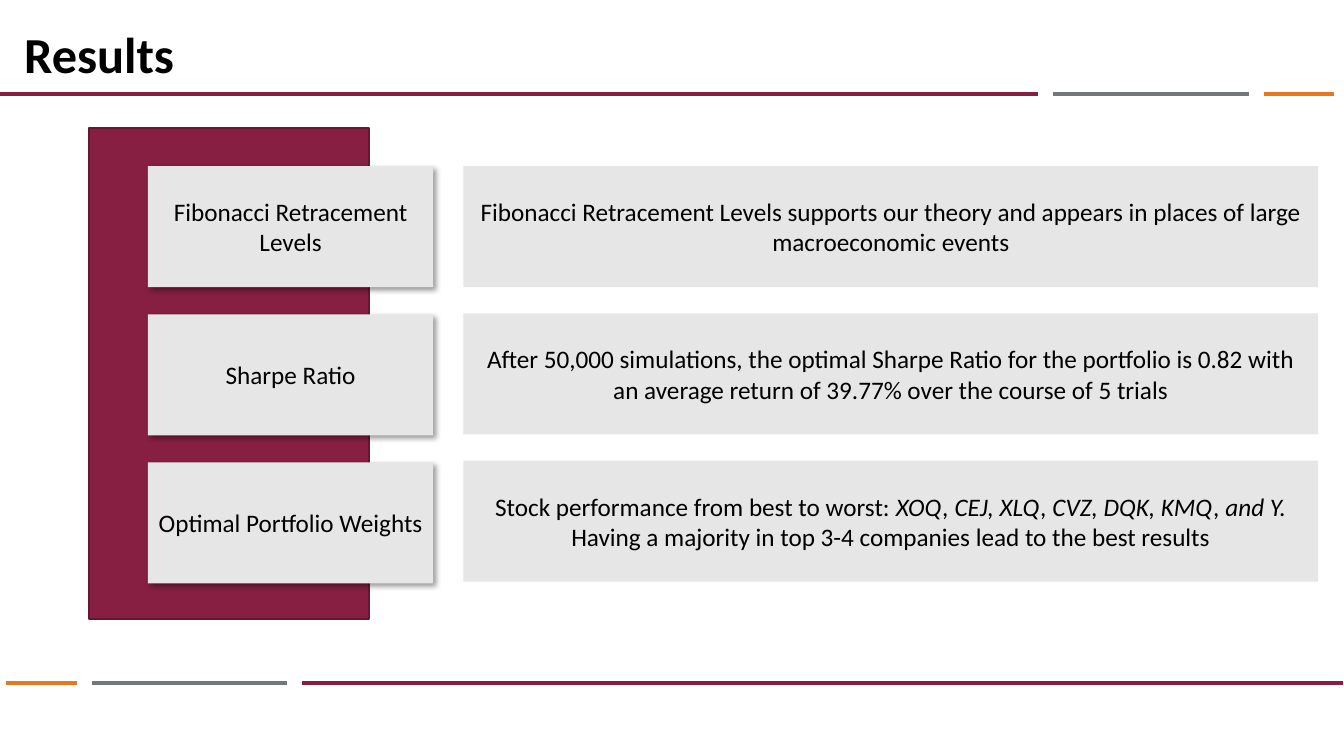
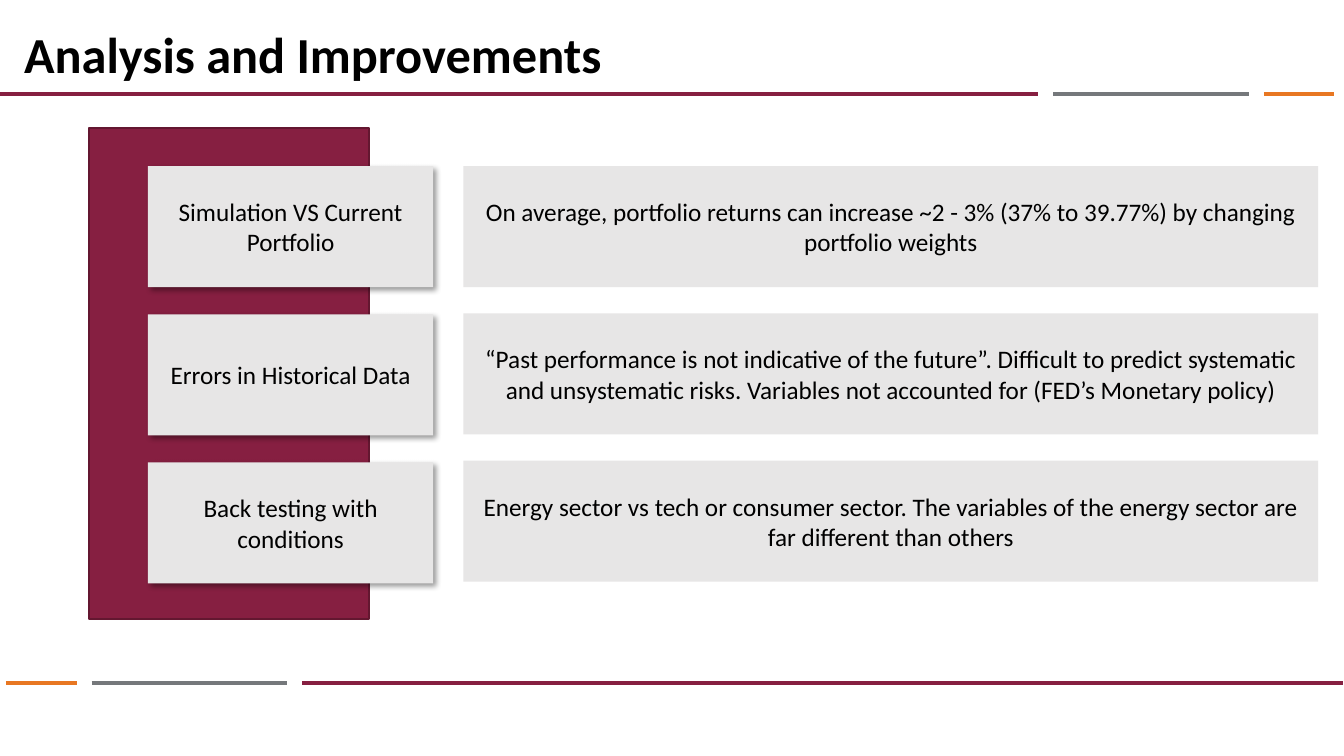
from lxml.etree import SubElement
from pptx import Presentation
from pptx.dml.color import RGBColor
from pptx.enum.shapes import MSO_CONNECTOR as Connector, MSO_SHAPE as Shape
from pptx.enum.text import MSO_ANCHOR as Anchor, MSO_AUTO_SIZE as AutoSize, PP_ALIGN as Align
from pptx.oxml.ns import qn
from pptx.util import Cm, Pt

MAROON, DARK_MAROON = "861F41", "631730"
GRAY, LIGHT_GRAY, ORANGE, BLACK = "75787B", "E7E6E6", "E87722", "000000"
FONT = "Calibri"

RULE_GAP = 0.38
TOP_RULE = [(26.16, MAROON), (4.93, GRAY), (1.78, ORANGE)]
BOTTOM_RULE = [(1.78, ORANGE), (4.93, GRAY), (26.22, MAROON)]

CONTENT_BOX = (2.24, 3.23, 30.98, 12.37)
PANEL_WIDTH = 7.06
CARD_HEIGHT = 3.05
CARDS_TOP = 0.96
LABEL_LEFT, LABEL_WIDTH, LABEL_STEP = 1.49, 7.19, 3.73
DETAIL_LEFT, DETAIL_STEP = 9.44, 3.71

SLIDES = [
    ("Results", 12.47, [
        ("Fibonacci Retracement Levels",
         ["Fibonacci Retracement Levels supports our theory and appears in places of "
          "large macroeconomic events"]),
        ("Sharpe Ratio",
         ["After 50,000 simulations, the optimal Sharpe Ratio for the portfolio is 0.82 "
          "with an average return of 39.77% over the course of 5 trials"]),
        ("Optimal Portfolio Weights",
         ["Stock performance from best to worst: ",
          ("XOQ, CEJ, XLQ, CVZ, DQK, KMQ, and Y. ", True),
          "Having a majority in top 3-4 companies lead to the best results"]),
    ]),
    ("Analysis and Improvements", 20.85, [
        ("Simulation VS Current Portfolio",
         ["On average, portfolio returns can increase ~2 - 3% (37% to 39.77%) by "
          "changing portfolio weights"]),
        ("Errors in Historical Data",
         ["“Past performance is not indicative of the future”. Difficult to predict "
          "systematic and unsystematic risks. Variables not accounted for (FED’s "
          "Monetary policy)"]),
        ("Back testing with conditions",
         ["Energy sector vs tech or consumer sector. The variables of the energy sector "
          "are far different than others"]),
    ]),
]


def color(value):
    return RGBColor.from_string(value)


def write_text(shape, pieces, size=18, bold=False, align=Align.CENTER, anchor=Anchor.MIDDLE):
    """Write one paragraph; a piece is a string or a (string, italic) pair."""
    frame = shape.text_frame
    frame.word_wrap = True
    frame.vertical_anchor = anchor
    paragraph = frame.paragraphs[0]
    paragraph.alignment = align
    for piece in pieces:
        text, italic = (piece, False) if isinstance(piece, str) else piece
        run = paragraph.add_run()
        run.text = text
        font = run.font
        font.name, font.size, font.bold, font.italic = FONT, Pt(size), bold, italic
        font.color.rgb = color(BLACK)


def add_rectangle(slide, left, top, width, height, fill, line=None):
    shape = slide.shapes.add_shape(Shape.RECTANGLE, Cm(left), Cm(top), Cm(width), Cm(height))
    shape.shadow.inherit = False
    shape.fill.solid()
    shape.fill.fore_color.rgb = color(fill)
    if line:
        shape.line.color.rgb = color(line)
        shape.line.width = Pt(1)
    else:
        shape.line.fill.background()
    return shape


def add_drop_shadow(shape):
    effects = shape._element.spPr.find(qn("a:effectLst"))
    shadow = SubElement(effects, qn("a:outerShdw"), blurRad=str(Pt(4)), dist=str(Pt(3)),
                        dir=str(45 * 60000), algn="tl", rotWithShape="0")
    shade = SubElement(shadow, qn("a:srgbClr"), val=BLACK)
    SubElement(shade, qn("a:alpha"), val="40000")


def add_rule(slide, left, top, segments):
    """Draw a row of coloured line segments with equal gaps."""
    for length, stroke in segments:
        line = slide.shapes.add_connector(
            Connector.STRAIGHT, Cm(left), Cm(top), Cm(left + length), Cm(top))
        line.line.color.rgb = color(stroke)
        line.line.width = Pt(3)
        SubElement(line._element.spPr, qn("a:effectLst"))
        left += length + RULE_GAP


def add_title(slide, title, width):
    box = slide.shapes.add_textbox(Cm(0.36), Cm(0.46), Cm(width), Cm(1.8))
    write_text(box, [title], size=36, bold=True, align=Align.LEFT, anchor=Anchor.TOP)
    box.text_frame.auto_size = AutoSize.SHAPE_TO_FIT_TEXT


def add_findings(slide, box, findings):
    """Place the panel, the label cards over it and the details beside them."""
    left, top, width, height = box
    add_rectangle(slide, left, top, PANEL_WIDTH, height, MAROON, line=DARK_MAROON)
    for row, (label, detail) in enumerate(findings):
        label_card = add_rectangle(slide, left + LABEL_LEFT, top + CARDS_TOP + row * LABEL_STEP,
                                   LABEL_WIDTH, CARD_HEIGHT, LIGHT_GRAY)
        add_drop_shadow(label_card)
        write_text(label_card, [label])
        detail_card = add_rectangle(slide, left + DETAIL_LEFT, top + CARDS_TOP + row * DETAIL_STEP,
                                    width - DETAIL_LEFT, CARD_HEIGHT, LIGHT_GRAY)
        write_text(detail_card, detail)


def add_findings_slide(presentation, title, title_width, findings):
    slide = presentation.slides.add_slide(presentation.slide_layouts[6])
    add_rule(slide, 0, 2.36, TOP_RULE)
    add_rule(slide, 0.15, 17.22, BOTTOM_RULE)
    add_title(slide, title, title_width)
    add_findings(slide, CONTENT_BOX, findings)


def main():
    presentation = Presentation()
    presentation.slide_width, presentation.slide_height = Cm(33.87), Cm(19.05)
    for title, title_width, findings in SLIDES:
        add_findings_slide(presentation, title, title_width, findings)
    presentation.save("out.pptx")


if __name__ == "__main__":
    main()
